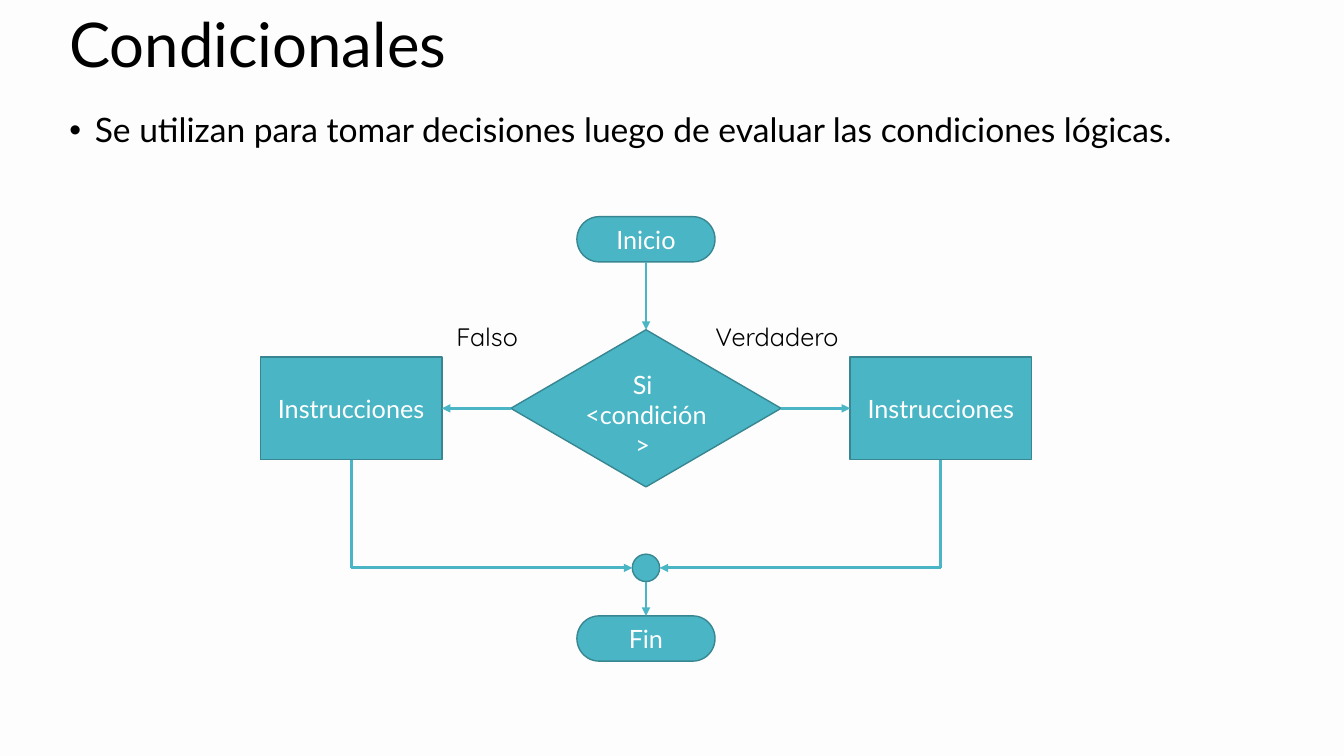
from lxml.etree import SubElement
from pptx import Presentation
from pptx.dml.color import RGBColor
from pptx.enum.shapes import MSO_CONNECTOR, MSO_SHAPE
from pptx.enum.text import MSO_ANCHOR as Anchor, PP_ALIGN as Align
from pptx.oxml.ns import qn
from pptx.util import Cm, Pt

BACKGROUND = RGBColor(0xFD, 0xFD, 0xFD)
TEAL = RGBColor(0x4A, 0xB5, 0xC4)
DARK_TEAL = RGBColor(0x37, 0x86, 0x91)
BLACK = RGBColor(0, 0, 0)
WHITE = RGBColor(0xFF, 0xFF, 0xFF)


class FlowchartSlide:
    """Style and drawing methods for one slide; lengths are in centimetres."""

    body_font = "Lato"
    label_font = "Quicksand"
    label_size = 18

    def __init__(self, presentation):
        self.slide = presentation.slides.add_slide(presentation.slide_layouts[6])
        fill = self.slide.background.fill
        fill.solid()
        fill.fore_color.rgb = BACKGROUND

    def format_text(self, text_frame, font_name, size, color):
        for paragraph in text_frame.paragraphs:
            for run in paragraph.runs:
                run.font.name = font_name
                run.font.size = Pt(size)
                run.font.color.rgb = color

    def text(self, text, left, top, width, height, font_name, size, anchor=Anchor.TOP):
        box = self.slide.shapes.add_textbox(Cm(left), Cm(top), Cm(width), Cm(height))
        text_frame = box.text_frame
        text_frame.word_wrap = True
        text_frame.vertical_anchor = anchor
        text_frame.text = text
        self.format_text(text_frame, font_name, size, BLACK)
        return text_frame.paragraphs[0]

    def bullet(self, paragraph, indent):
        properties = paragraph._p.get_or_add_pPr()
        properties.set("marL", str(Cm(indent)))
        properties.set("indent", str(-Cm(indent)))
        SubElement(properties, qn("a:buFont")).set("typeface", "Arial")
        SubElement(properties, qn("a:buChar")).set("char", "•")

    def node(self, kind, center_x, center_y, width, height, text=""):
        shape = self.slide.shapes.add_shape(
            kind, Cm(center_x - width / 2), Cm(center_y - height / 2), Cm(width), Cm(height))
        shape.shadow.inherit = False
        shape.fill.solid()
        shape.fill.fore_color.rgb = TEAL
        shape.line.color.rgb = DARK_TEAL
        shape.line.width = Pt(1)
        text_frame = shape.text_frame
        text_frame.word_wrap = True
        text_frame.vertical_anchor = Anchor.MIDDLE
        text_frame.text = text
        for paragraph in text_frame.paragraphs:
            paragraph.alignment = Align.CENTER
        self.format_text(text_frame, self.body_font, self.label_size, WHITE)
        return text_frame

    def line(self, start, end, arrow=True):
        connector = self.slide.shapes.add_connector(
            MSO_CONNECTOR.STRAIGHT, *map(Cm, start + end))
        connector.line.color.rgb = TEAL
        connector.line.width = Pt(2)
        if arrow:
            SubElement(connector.line._get_or_add_ln(), qn("a:tailEnd")).set("type", "triangle")
        SubElement(connector._element.spPr, qn("a:effectLst"))


def main():
    presentation = Presentation()
    presentation.slide_width = Cm(33.87)
    presentation.slide_height = Cm(19.05)
    chart = FlowchartSlide(presentation)

    # Title and statement
    title = chart.text("Condicionales", 1.5, 0.13, 30.86, 2.13,
                       chart.body_font, 44, Anchor.MIDDLE)
    title.line_spacing = 0.9
    statement = chart.text(
        "Se utilizan para tomar decisiones luego de evaluar las condiciones lógicas.",
        1.5, 2.74, 30.86, 14.81, chart.body_font, 24)
    statement.alignment = Align.JUSTIFY
    statement.line_spacing = 0.9
    statement.space_before = Pt(10)
    chart.bullet(statement, 0.64)

    # Flowchart grid
    axis_x, branch_offset = 16.28, 7.43
    start_y, decision_y, join_y, end_y = 6.03, 10.29, 14.31, 16.09
    terminal_width, terminal_height = 3.48, 1.14
    decision_width, decision_height = 6.81, 3.96
    process_width, process_height = 4.57, 2.59
    join_size = 0.69

    # Start, end, decision and join
    for text, center_y in (("Inicio", start_y), ("Fin", end_y)):
        chart.node(MSO_SHAPE.FLOWCHART_TERMINATOR, axis_x, center_y,
                   terminal_width, terminal_height, text)
    decision = chart.node(MSO_SHAPE.FLOWCHART_DECISION, axis_x, decision_y,
                          decision_width, decision_height, "Si \n<condición> ")
    decision.vertical_anchor = Anchor.TOP
    decision.margin_left = decision.margin_right = 0
    decision.margin_top = decision.margin_bottom = 0
    chart.node(MSO_SHAPE.FLOWCHART_CONNECTOR, axis_x, join_y, join_size, join_size)

    # Vertical arrows on the axis
    chart.line((axis_x, start_y + terminal_height / 2),
               (axis_x, decision_y - decision_height / 2))
    chart.line((axis_x, join_y + join_size / 2), (axis_x, end_y - terminal_height / 2))

    # False branch on the left, true branch on the right
    for side in (-1, 1):
        branch_x = axis_x + side * branch_offset
        chart.node(MSO_SHAPE.FLOWCHART_PROCESS, branch_x, decision_y,
                   process_width, process_height, "Instrucciones")
        chart.line((axis_x + side * decision_width / 2, decision_y),
                   (branch_x - side * process_width / 2, decision_y))
        chart.line((branch_x, decision_y + process_height / 2), (branch_x, join_y), arrow=False)
        chart.line((branch_x, join_y), (axis_x + side * join_size / 2, join_y))

    # Branch labels
    for text, left, width in (("Falso", 11.25, 2.6), ("Verdadero", 17.78, 3.81)):
        chart.text(text, left, 7.96, width, 1.02, chart.label_font, chart.label_size)

    presentation.save("out.pptx")


if __name__ == "__main__":
    main()
